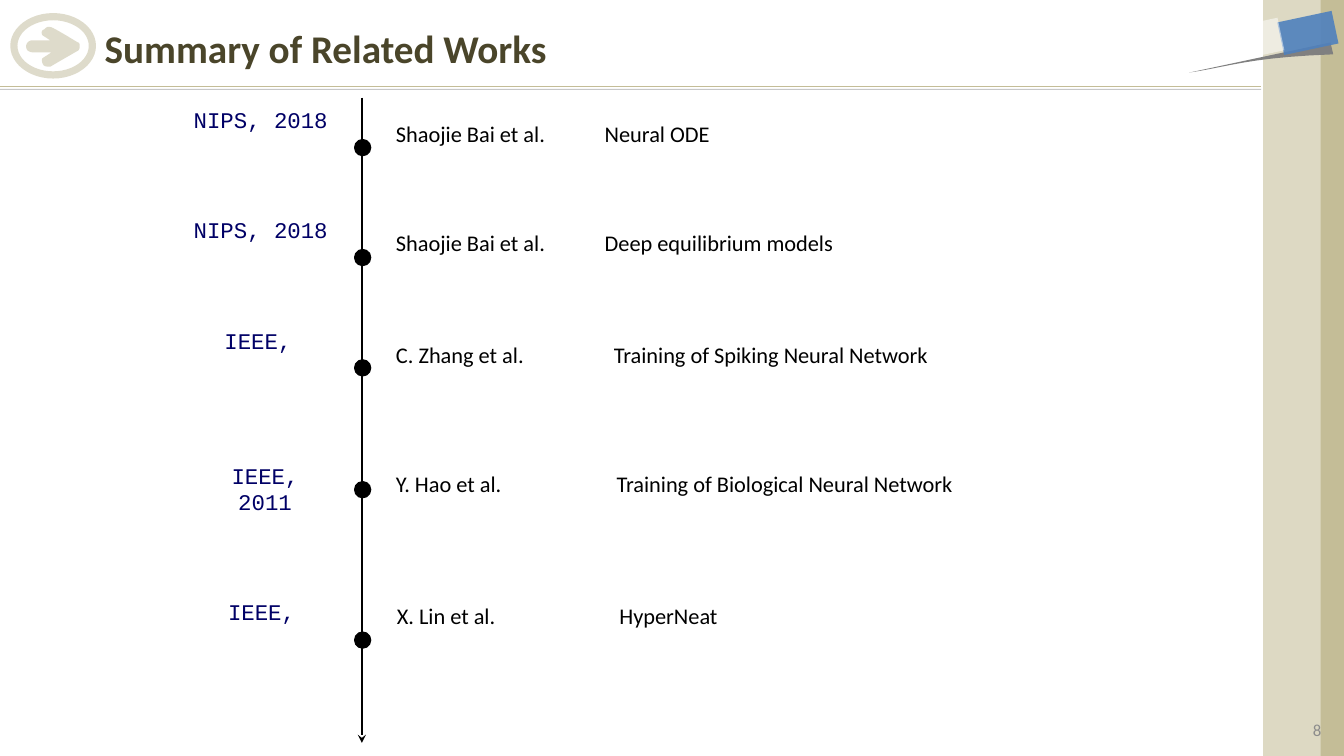
from dataclasses import dataclass

from lxml.etree import SubElement
from pptx import Presentation
from pptx.dml.color import RGBColor
from pptx.enum.shapes import MSO_CONNECTOR as CONN, MSO_SHAPE as SHAPE
from pptx.enum.text import MSO_ANCHOR as ANCHOR, PP_ALIGN as ALIGN
from pptx.oxml.ns import qn
from pptx.util import Cm, Pt


@dataclass(frozen=True)
class Theme:
    ink: str = "000000"
    title: str = "4A452A"
    venue: str = "000066"
    muted: str = "8C8C8C"
    olive: str = "948A54"
    tan: str = "C4BD97"
    sand: str = "DDD9C3"
    blue: str = "4F81BD"
    grey: str = "808080"
    white: str = "FFFFFF"
    sans: str = "Calibri"
    mono: str = "Courier New"
    title_pt: int = 28
    body_pt: int = 16
    page_pt: int = 12


T = Theme()
WIDTH, HEIGHT = 33.87, 19.05
AXIS_X, DOT = 9.12, 0.41

# venue, venue centre x, venue top, dot centre y, author, topic, detail left, detail top, topic tab
WORKS = [
    ("NIPS, 2018 ", 6.74, 2.54, 3.72, "Shaojie Bai et al.", "Neural ODE", 9.73, 2.9, 5.26),
    ("NIPS, 2018 ", 6.74, 5.33, 6.49, "Shaojie Bai et al.", "Deep equilibrium models", 9.73, 5.66, 5.26),
    ("IEEE, ", 6.67, 8.13, 9.27, "C. Zhang et al.", "Training of Spiking Neural Network", 9.73, 8.48, 5.49),
    ("IEEE,\n2011", 6.68, 11.51, 12.34, "Y. Hao et al.", "Training of Biological Neural Network", 9.73, 11.71, 5.56),
    ("IEEE, ", 6.76, 14.96, 16.13, "X. Lin et al.", "HyperNeat", 9.75, 15.04, 5.61),
]


def paint(sp, color, alpha=100):
    """Solid fill with optional opacity in percent, no line or shadow."""
    sp.shadow.inherit = False
    sp.line.fill.background()
    sp.fill.solid()
    sp.fill.fore_color.rgb = RGBColor.from_string(color)
    if alpha < 100:
        clr = sp._element.spPr.find(qn("a:solidFill"))[0]
        SubElement(clr, qn("a:alpha"), val=str(alpha * 1000))
    return sp


def add_preset(s, kind, x, y, w, h, color, alpha=100, rotation=0):
    sp = s.shapes.add_shape(kind, Cm(x), Cm(y), Cm(w), Cm(h))
    sp.rotation = rotation
    return paint(sp, color, alpha)


def add_outline(s, start, segments, color, alpha=100, steps=10):
    """Closed outline; each segment is an end point or three cubic Bezier points."""
    points = [start]
    for seg in segments:
        if len(seg) == 1:
            points.append(seg[0])
            continue
        ctrl = (points[-1], *seg)
        for i in range(1, steps + 1):
            t = i / steps
            weights = ((1 - t) ** 3, 3 * t * (1 - t) ** 2, 3 * t * t * (1 - t), t ** 3)
            points.append(tuple(sum(k * c[d] for k, c in zip(weights, ctrl)) for d in (0, 1)))
    builder = s.shapes.build_freeform(Cm(start[0]), Cm(start[1]))
    builder.add_line_segments([(Cm(x), Cm(y)) for x, y in points[1:]], close=True)
    return paint(builder.convert_to_shape(), color, alpha)


def add_line(s, x1, y1, x2, y2, color, width):
    """Straight line; returns its effect list, which is empty."""
    ln = s.shapes.add_connector(CONN.STRAIGHT, Cm(x1), Cm(y1), Cm(x2), Cm(y2))
    ln.line.color.rgb = RGBColor.from_string(color)
    ln.line.width = Pt(width)
    return ln, SubElement(ln._element.spPr, qn("a:effectLst"))


def add_text(s, text, x, y, w, h, *, size=T.body_pt, font=T.sans, color=T.ink, bold=False,
             align=ALIGN.LEFT, anchor=ANCHOR.TOP, tab=None):
    tf = s.shapes.add_textbox(Cm(x), Cm(y), Cm(w), Cm(h)).text_frame
    tf.word_wrap = True
    tf.vertical_anchor = anchor
    for i, line in enumerate(text.split("\n")):
        p = tf.add_paragraph() if i else tf.paragraphs[0]
        p.alignment = align
        if tab:
            tabs = SubElement(p._p.get_or_add_pPr(), qn("a:tabLst"))
            SubElement(tabs, qn("a:tab"), pos=str(int(Cm(tab))), algn="l")
        r = p.add_run()
        r.text = line
        r.font.name, r.font.size, r.font.bold = font, Pt(size), bold
        r.font.color.rgb = RGBColor.from_string(color)


def add_title_rule(s):
    _, effects = add_line(s, 0, 2.18, 31.78, 2.18, T.tan, 0.75)
    shadow = SubElement(effects, qn("a:outerShdw"), dist=str(int(Pt(2))), dir="5400000", rotWithShape="0")
    clr = SubElement(shadow, qn("a:srgbClr"), val=T.ink)
    SubElement(clr, qn("a:alpha"), val="22000")


def add_arrow_badge(s):
    arrow = [
        ((1.83, 0.99), (1.42, 0.74), (1.3, 0.69)),
        ((1.19, 0.66), (1.17, 0.69), (1.12, 0.74)),
        ((1.04, 0.76), (1.04, 0.84), (1.07, 0.89)),
        ((1.27, 1.02),),
        ((0.79, 1.02),),
        ((0.69, 1.04), (0.66, 1.12), (0.66, 1.17)),
        ((0.66, 1.24), (0.69, 1.3), (0.81, 1.32)),
        ((1.3, 1.32),),
        ((1.07, 1.47),),
        ((1.04, 1.52), (1.07, 1.6), (1.09, 1.63)),
        ((1.12, 1.68), (1.17, 1.68), (1.27, 1.68)),
        ((1.63, 1.47), (1.98, 1.27), (1.98, 1.27)),
        ((2.01, 1.22), (2.01, 1.19), (2.01, 1.17)),
        ((2.01, 1.14), (2.01, 1.07), (1.96, 1.07)),
    ]
    add_outline(s, (1.96, 1.07), arrow, T.olive, 30)
    ring = add_preset(s, SHAPE.DONUT, 0.26, 0.33, 2.16, 1.65, T.olive, 30)
    ring.adjustments[0] = 0.11


def add_side_band(s):
    add_preset(s, SHAPE.RECTANGLE, 31.88, 0, WIDTH - 31.88, HEIGHT, T.tan)
    add_preset(s, SHAPE.RECTANGLE, 31.83, 0, 1.45, HEIGHT, T.sand)
    wedge = [
        ((33.6, 1.37),),
        ((31.45, 1.45), (30.99, 1.68), (29.97, 1.83)),
        ((33.53, 1.07),),
    ]
    add_outline(s, (33.53, 1.07), wedge, T.grey)
    add_preset(s, SHAPE.RECTANGLE, 32.54, 0.13, 0.84, 1.4, T.blue, 90, rotation=78)
    add_preset(s, SHAPE.RECTANGLE, 30.58, -0.18, 0.84, 2.62, T.white, 50, rotation=78)


def add_timeline(s):
    axis, _ = add_line(s, AXIS_X, 2.46, AXIS_X, 18.72, T.ink, 1.5)
    SubElement(axis.line._get_or_add_ln(), qn("a:tailEnd"), type="stealth")
    for venue, venue_x, venue_y, dot_y, author, topic, left, top, tab in WORKS:
        dot = add_preset(s, SHAPE.OVAL, AXIS_X + 0.02 - DOT / 2, dot_y - DOT / 2, DOT, DOT, T.ink)
        dot.line.color.rgb = RGBColor.from_string(T.ink)
        dot.line.width = Pt(0.75)
        add_text(s, venue, venue_x - 2.3, venue_y, 4.6, 0.94 + 0.69 * venue.count("\n"),
                 font=T.mono, color=T.venue, align=ALIGN.CENTER)
        add_text(s, f"{author}\t{topic}", left, top, 18, 0.94, tab=tab)


def main():
    prs = Presentation()
    prs.slide_width, prs.slide_height = Cm(WIDTH), Cm(HEIGHT)
    s = prs.slides.add_slide(prs.slide_layouts[6])
    add_title_rule(s)
    add_arrow_badge(s)
    add_side_band(s)
    add_text(s, "8", 25.65, 17.98, 7.9, 0.84, size=T.page_pt, color=T.muted,
             align=ALIGN.RIGHT, anchor=ANCHOR.MIDDLE)
    add_text(s, "Summary of Related Works", 2.39, 0.43, 29.79, 1.55, size=T.title_pt,
             color=T.title, bold=True, align=ALIGN.JUSTIFY, anchor=ANCHOR.MIDDLE)
    add_timeline(s)
    prs.save("out.pptx")


if __name__ == "__main__":
    main()
